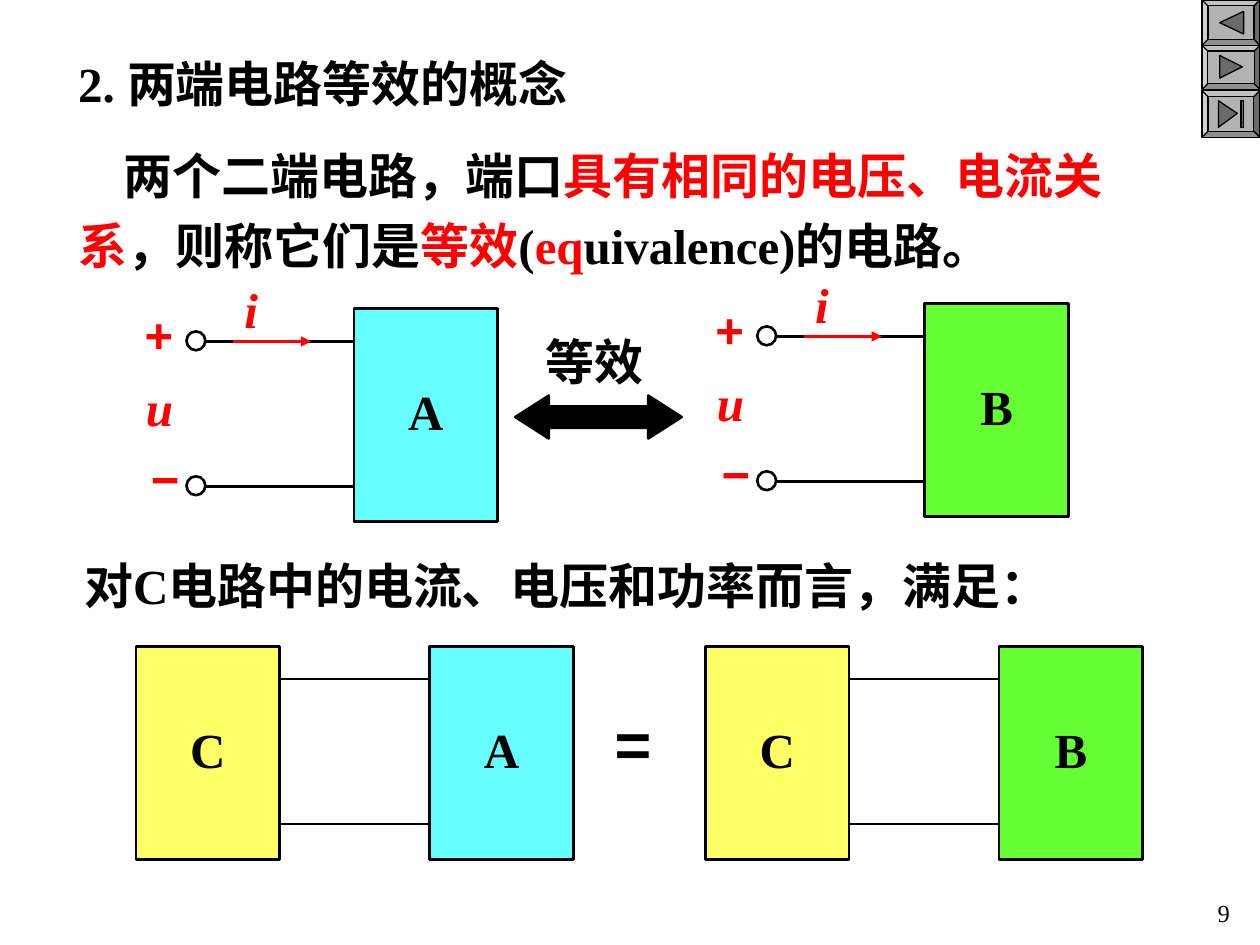
import lxml.etree
import pptx
import pptx.dml.color
import pptx.enum.shapes
import pptx.enum.text
import pptx.oxml.ns
import pptx.util

Inches = pptx.util.Inches
Pt = pptx.util.Pt
qn = pptx.oxml.ns.qn
SHAPE = pptx.enum.shapes.MSO_SHAPE
ALIGN = pptx.enum.text.PP_ALIGN
ANCHOR = pptx.enum.text.MSO_ANCHOR

BLACK, RED, WHITE = "000000", "FF0000", "FFFFFF"
CYAN, GREEN, YELLOW = "66FFFF", "66FF33", "FFFF66"
BUTTON_GRAY, ICON_GRAY = "B2B2B2", "6B6B6B"
SERIF, SANS = "Times New Roman", "Arial"
BLOCK_WIDTH, BLOCK_HEIGHT = 1.14, 1.69
WIRE_OFFSETS = (0.26, 1.41)


def rgb(value):
    return pptx.dml.color.RGBColor.from_string(value)


def apply(target, values):
    for name, value in values.items():
        setattr(target, name, value)


def write(para, text, color=BLACK, **changes):
    span = para.add_run()
    span.text = text
    apply(span.font, {"size": Pt(28), "name": SERIF, "bold": True, **changes})
    span.font.color.rgb = rgb(color)


def place(box, left, top, width, height):
    values = {"left": left, "top": top, "width": width, "height": height}
    apply(box, {name: Inches(value) for name, value in values.items()})


def add_label(shapes, text, left, top, width, height=0.57, align=ALIGN.LEFT, color=BLACK, **font):
    box = shapes.add_textbox(*map(Inches, (left, top, width, height)))
    box.text_frame.word_wrap = True
    para = box.text_frame.paragraphs[0]
    para.alignment = align
    write(para, text, color, **font)


def paint(shape, fill, line_width=1.5):
    shape.shadow.inherit = False
    shape.fill.solid()
    shape.fill.fore_color.rgb = rgb(fill)
    shape.line.color.rgb = rgb(BLACK)
    shape.line.width = Pt(line_width)


def add_preset(shapes, kind, left, top, width, height, fill, line_width=1.5):
    shape = shapes.add_shape(kind, *map(Inches, (left, top, width, height)))
    paint(shape, fill, line_width)
    return shape


def add_block(shapes, letter, left, top, fill):
    block = add_preset(shapes, SHAPE.RECTANGLE, left, top, BLOCK_WIDTH, BLOCK_HEIGHT, fill)
    apply(block.text_frame, {"vertical_anchor": ANCHOR.MIDDLE, "margin_bottom": Inches(0.12)})
    para = block.text_frame.paragraphs[0]
    para.alignment = ALIGN.CENTER
    write(para, letter)


def add_wire(shapes, start, end, y, color=BLACK, arrow=False):
    wire = shapes.add_connector(
        pptx.enum.shapes.MSO_CONNECTOR.STRAIGHT,
        Inches(start), Inches(y), Inches(end), Inches(y))
    wire.line.color.rgb = rgb(color)
    wire.line.width = Pt(1.5)
    properties = wire._element.spPr
    if arrow:
        lxml.etree.SubElement(properties.find(qn("a:ln")), qn("a:tailEnd"), type="triangle")
    lxml.etree.SubElement(properties, qn("a:effectLst"))


def add_two_terminal(page, letter, left, top, fill):
    shapes = page.shapes.add_group_shape().shapes
    add_block(shapes, letter, left, top, fill)
    for offset in WIRE_OFFSETS:
        add_wire(shapes, left - 1.18, left, top + offset)
        add_preset(shapes, SHAPE.OVAL, left - 1.33, top + offset - 0.08, 0.15, 0.15, WHITE)
    add_wire(shapes, left - 0.96, left - 0.34, top + WIRE_OFFSETS[0], RED, arrow=True)
    marks = [
        ("i", -0.97, -0.28, 0.31, {"italic": True}),
        ("+", -1.76, -0.08, 0.42, {"name": SANS}),
        ("u", -1.75, 0.5, 0.41, {"italic": True}),
        ("−", -1.71, 1.06, 0.33, {"name": SANS}),
    ]
    for text, across, down, width, font in marks:
        add_label(shapes, text, left + across, top + down, width, color=RED, **font)


def add_connected_pair(page, letter, left, top, fill):
    shapes = page.shapes.add_group_shape().shapes
    right = left + 2.33
    for offset in WIRE_OFFSETS:
        add_wire(shapes, left + BLOCK_WIDTH, right, top + offset)
    add_block(shapes, "C", left, top, YELLOW)
    add_block(shapes, letter, right, top, fill)


def add_icon(shapes, points):
    corners = [(Inches(x), Inches(y)) for x, y in points]
    builder = shapes.build_freeform(*corners[0])
    builder.add_line_segments(corners[1:], close=True)
    paint(builder.convert_to_shape(), ICON_GRAY, 0.75)


def add_button(page, top, height, icons):
    shapes = page.shapes.add_group_shape().shapes
    button = add_preset(shapes, SHAPE.BEVEL, 9.54, top, 0.46, height, BUTTON_GRAY, 0.75)
    button.adjustments[0] = 0.13
    for points in icons:
        add_icon(shapes, points)


def fill_title(box):
    place(box, 0.52, 0.37, 4.78, 0.57)
    apply(box.text_frame, {"vertical_anchor": ANCHOR.MIDDLE, "word_wrap": True,
                           "auto_size": pptx.enum.text.MSO_AUTO_SIZE.NONE})
    para = box.text_frame.paragraphs[0]
    para.alignment = ALIGN.LEFT
    write(para, "2. 两端电路等效的概念")


def fill_definition(box):
    place(box, 0.52, 1.01, 8.58, 1.22)
    apply(box.text_frame, {"word_wrap": True,
                           "auto_size": pptx.enum.text.MSO_AUTO_SIZE.NONE})
    para = box.text_frame.paragraphs[0]
    properties = para._p.get_or_add_pPr()
    properties.set("marL", "0")
    properties.set("indent", str(Inches(0.36)))
    lxml.etree.SubElement(properties, qn("a:buNone"))
    apply(para, {"line_spacing": 1.2, "space_before": Pt(0)})
    for text, color in [
        ("两个二端电路，端口", BLACK),
        ("具有相同的电压、电流关系", RED),
        ("，则称它们是", BLACK),
        ("等效", RED),
        ("(", BLACK),
        ("eq", RED),
        ("uivalence)的电路。", BLACK),
    ]:
        write(para, text, color)


def main():
    deck = pptx.Presentation()
    apply(deck, {"slide_width": Inches(10), "slide_height": Inches(7.5)})
    page = deck.slides.add_slide(deck.slide_layouts[1])
    fill_title(page.shapes.title)
    fill_definition(page.placeholders[1])

    add_button(page, 0, 0.36, [[(9.68, 0.18), (9.87, 0.09), (9.87, 0.27)]])
    add_button(page, 0.36, 0.35, [[(9.68, 0.44), (9.86, 0.53), (9.68, 0.62)]])
    add_button(page, 0.72, 0.37, [
        [(9.82, 0.9), (9.67, 1.01), (9.67, 0.8)],
        [(9.85, 0.8), (9.85, 1.01), (9.87, 1.01), (9.87, 0.8)],
    ])

    add_two_terminal(page, "A", 2.81, 2.45, CYAN)
    add_two_terminal(page, "B", 7.34, 2.41, GREEN)
    arrow = add_preset(page.shapes, SHAPE.LEFT_RIGHT_ARROW, 4.09, 3.14, 1.32, 0.34, BLACK)
    arrow.adjustments[1] = 0.78
    add_label(page.shapes, "等效", 4.23, 2.58, 0.99)

    add_label(page.shapes, "对C电路中的电流、电压和功率而言，满足：", 0.57, 4.36, 8.27)
    add_connected_pair(page, "A", 1.08, 5.13, CYAN)
    add_label(page.shapes, "=", 4.78, 5.54, 0.6, 0.7, name=SANS, size=Pt(36))
    add_connected_pair(page, "B", 5.6, 5.13, GREEN)
    add_label(page.shapes, "9", 7.78, 7.08, 2.08, 0.4, ALIGN.RIGHT, size=Pt(14), bold=False)
    deck.save("out.pptx")


if __name__ == "__main__":
    main()
